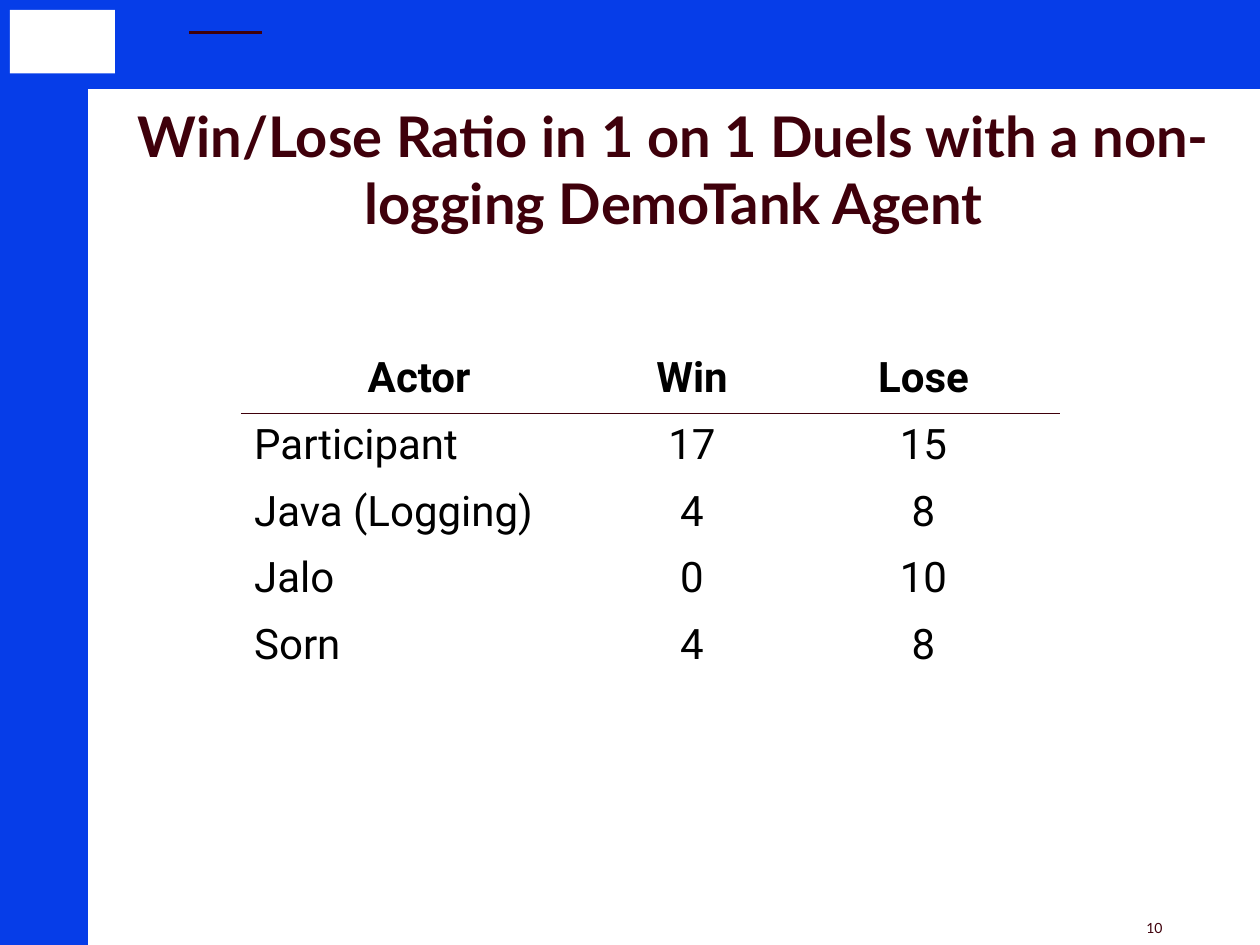
from lxml import etree
from pptx import Presentation
from pptx.dml.color import RGBColor
from pptx.enum.shapes import MSO_CONNECTOR, MSO_SHAPE
from pptx.enum.text import MSO_ANCHOR, PP_ALIGN
from pptx.oxml.ns import qn
from pptx.util import Cm, Pt

RECTANGLE = MSO_SHAPE.RECTANGLE
STRAIGHT = MSO_CONNECTOR.STRAIGHT
LEFT, CENTER = PP_ALIGN.LEFT, PP_ALIGN.CENTER
TOP, MIDDLE = MSO_ANCHOR.TOP, MSO_ANCHOR.MIDDLE

BLUE, WHITE, BLACK, MAROON = "063DE8", "FFFFFF", "000000", "3F000B"
HEADING_FONT, BODY_FONT = "Lato", "Roboto"

RESULTS = [
    ("Actor", "Win", "Lose"),
    ("Participant", "17", "15"),
    ("Java (Logging)", "4", "8"),
    ("Jalo", "0", "10"),
    ("Sorn", "4", "8"),
]


def color(hex_value):
    return RGBColor.from_string(hex_value)


def write(frame, text, *, font, size, ink, bold=False, align=LEFT):
    paragraph = frame.paragraphs[0]
    paragraph.alignment = align
    run = paragraph.add_run()
    run.text = text
    run.font.name = font
    run.font.size = Pt(size)
    run.font.bold = bold
    run.font.color.rgb = color(ink)


def border(cell, side, ink, points):
    """Draw one cell edge; side is the DrawingML tag, such as a:lnB."""
    properties = cell._tc.get_or_add_tcPr()
    edge = etree.Element(qn(side), w=str(Pt(points)))
    fill = etree.SubElement(edge, qn("a:solidFill"))
    etree.SubElement(fill, qn("a:srgbClr"), val=ink)
    properties.insert(0, edge)


class SlideBuilder:
    def __init__(self, slide):
        self.shapes = slide.shapes

    def panel(self, left, top, width, height, fill):
        shape = self.shapes.add_shape(
            RECTANGLE, Cm(left), Cm(top), Cm(width), Cm(height))
        shape.shadow.inherit = False
        shape.fill.solid()
        shape.fill.fore_color.rgb = color(fill)
        shape.line.fill.background()

    def rule(self, left, right, y, ink, points):
        line = self.shapes.add_connector(
            STRAIGHT, Cm(left), Cm(y), Cm(right), Cm(y))
        line.line.color.rgb = color(ink)
        line.line.width = Pt(points)
        etree.SubElement(line._element.spPr, qn("a:effectLst"))

    def text(self, left, top, width, height, words, anchor=TOP, **style):
        box = self.shapes.add_textbox(
            Cm(left), Cm(top), Cm(width), Cm(height))
        box.text_frame.word_wrap = True
        box.text_frame.vertical_anchor = anchor
        write(box.text_frame, words, **style)

    def table(self, left, top, column_widths, row_height, rows):
        """Add a plain table with a rule below its bold header row."""
        table = self.shapes.add_table(
            len(rows), len(column_widths), Cm(left), Cm(top),
            Cm(sum(column_widths)), Cm(row_height * len(rows))).table
        table.first_row = table.horz_banding = False
        for column, width in zip(table.columns, column_widths):
            column.width = Cm(width)
        for r, values in enumerate(rows):
            header = r == 0
            table.rows[r].height = Cm(row_height)
            for c, value in enumerate(values):
                cell = table.cell(r, c)
                cell.fill.background()
                write(cell.text_frame, value, font=BODY_FONT, size=24,
                      ink=BLACK, bold=header,
                      align=CENTER if header or c else LEFT)
                if r < 2:
                    border(cell, "a:lnB" if header else "a:lnT", MAROON, 0.45)


def main():
    deck = Presentation()
    deck.slide_width, deck.slide_height = Cm(25.4), Cm(19.05)
    builder = SlideBuilder(deck.slides.add_slide(deck.slide_layouts[6]))

    builder.panel(0, 0, 25.4, 19.05, BLUE)
    builder.panel(1.78, 1.8, 23.62, 17.25, WHITE)
    builder.text(22.86, 18.42, 1.42, 0.63, "10",
                 font=HEADING_FONT, size=8, ink=MAROON)
    builder.panel(0.2, 0.2, 2.12, 1.28, WHITE)
    builder.rule(3.81, 5.29, 0.65, MAROON, 1.5)
    builder.text(2.13, 2.03, 22.91, 2.74,
                 "Win/Lose Ratio in 1 on 1 Duels with a non-logging "
                 "DemoTank Agent",
                 anchor=MIDDLE, font=HEADING_FONT, size=32, ink=MAROON,
                 bold=True, align=CENTER)
    builder.table(4.87, 6.99, (7.16, 3.84, 5.49), 1.35, RESULTS)

    deck.save("out.pptx")


if __name__ == "__main__":
    main()
